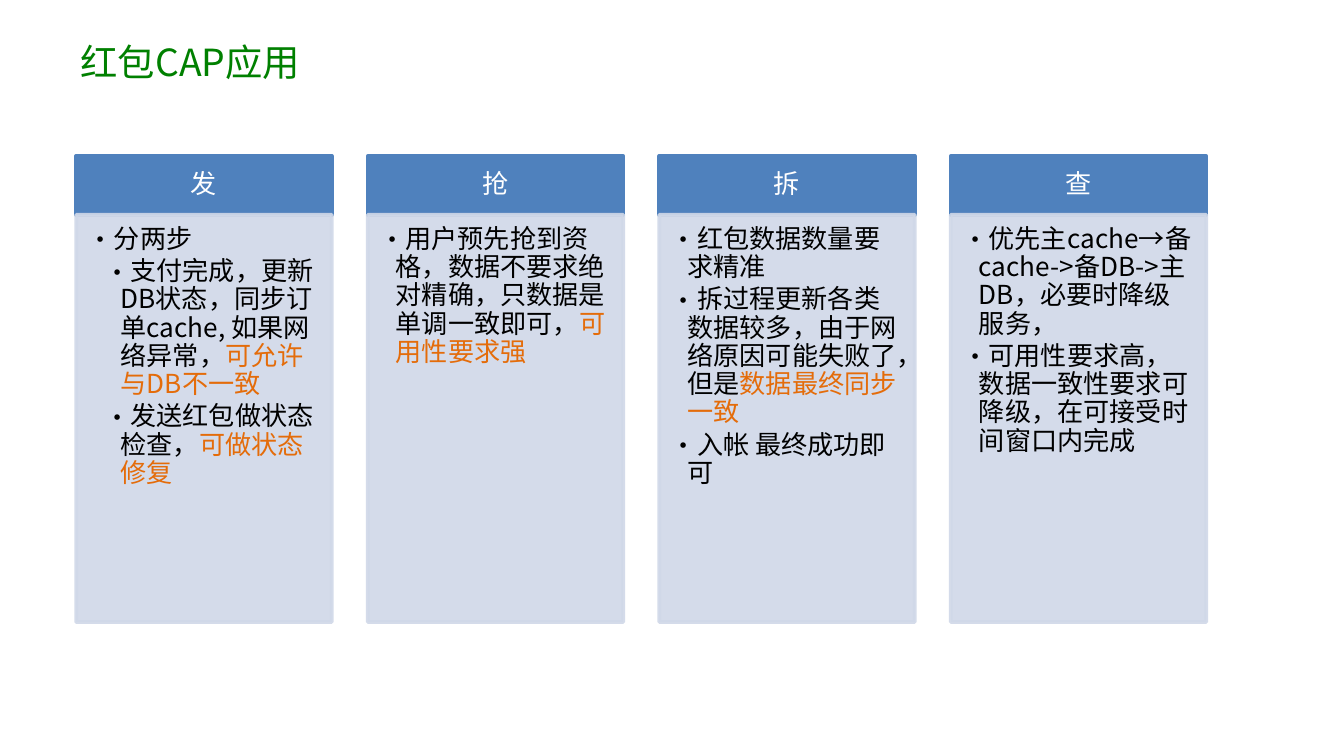
from dataclasses import dataclass

from lxml import etree
from pptx import Presentation
from pptx.dml import color
from pptx.enum import shapes, text
from pptx.oxml import ns
from pptx.util import Cm, Pt


@dataclass(frozen=True)
class Theme:
    font: str = "Noto Sans CJK SC"
    green: str = "008000"
    blue: str = "4F81BD"
    pale: str = "D0D8E8"
    white: str = "FFFFFF"
    black: str = "000000"
    orange: str = "E46C0A"
    title: float = 20
    body: float = 14
    line: float = 2
    gap: float = 2.1
    alpha: int = 90


@dataclass(frozen=True)
class Item:
    plain: str
    accent: str = ""
    level: int = 1


@dataclass(frozen=True)
class Column:
    head: str
    items: tuple[Item, ...]


@dataclass(frozen=True)
class Box:
    left: float
    top: float
    width: float
    height: float

    def place(self) -> tuple:
        return Cm(self.left), Cm(self.top), Cm(self.width), Cm(self.height)


THEME = Theme()
LEFT, TOP, WIDTH, STEP = 1.44, 2.95, 4.83, 5.51
HEAD, BODY = 1.11, 7.7
HANG = 0.31

COLUMNS = (
    Column("发", (
        Item("分两步"),
        Item("支付完成，更新DB状态，同步订单cache, 如果网络异常，", "可允许与DB不一致", 2),
        Item("发送红包做状态检查，", "可做状态修复", 2),
    )),
    Column("抢", (
        Item("用户预先抢到资格，数据不要求绝对精确，只数据是单调一致即可，", "可用性要求强"),
    )),
    Column("拆", (
        Item("红包数据数量要求精准"),
        Item("拆过程更新各类数据较多，由于网络原因可能失败了，但是", "数据最终同步一致"),
        Item("入帐 最终成功即可"),
    )),
    Column("查", (
        Item("优先主cache→备cache->备DB->主DB，必要时降级服务，"),
        Item("可用性要求高，数据一致性要求可降级，在可接受时间窗口内完成"),
    )),
)


def add_run(para, words: str, tint: str, size: float) -> None:
    run = para.add_run()
    run.text = words
    run.font.size = Pt(size)
    run.font.color.rgb = color.RGBColor.from_string(tint)
    run.font.name = THEME.font
    east = etree.SubElement(run.font._element, ns.qn("a:ea"))
    east.set("typeface", THEME.font)


def set_frame(frame, pads: tuple[float, ...], anchor) -> None:
    frame.word_wrap = True
    frame.auto_size = text.MSO_AUTO_SIZE.NONE
    frame.vertical_anchor = anchor
    (frame.margin_left, frame.margin_top,
     frame.margin_right, frame.margin_bottom) = map(Cm, pads)


def add_panel(slide, box: Box, tint: str, alpha: int = 100):
    panel = slide.shapes.add_shape(shapes.MSO_SHAPE.RECTANGLE, *box.place())
    panel.shadow.inherit = False
    panel.line.width = Pt(THEME.line)
    for paint in (panel.fill, panel.line.fill):
        paint.solid()
        paint.fore_color.rgb = color.RGBColor.from_string(tint)
    if alpha < 100:
        for node in panel._element.spPr.iter(ns.qn("a:srgbClr")):
            etree.SubElement(node, ns.qn("a:alpha")).set("val", str(alpha * 1000))
    return panel


def add_item(para, item: Item) -> None:
    para.alignment = text.PP_ALIGN.LEFT
    para.level = item.level
    para.line_spacing = 0.9
    para.space_after = Pt(THEME.gap)
    props = para._p.get_or_add_pPr()
    props.set("marL", str(Cm(HANG * item.level)))
    props.set("indent", str(-Cm(HANG)))
    etree.SubElement(props, ns.qn("a:buFont")).set("typeface", THEME.font)
    etree.SubElement(props, ns.qn("a:buChar")).set("char", "•")
    add_run(para, item.plain, THEME.black, THEME.body)
    if item.accent:
        add_run(para, item.accent, THEME.orange, THEME.body)


def add_column(slide, column: Column, left: float) -> None:
    head = add_panel(slide, Box(left, TOP, WIDTH, HEAD), THEME.blue).text_frame
    set_frame(head, (0.28, 0.15, 0.28, 0.15), text.MSO_ANCHOR.MIDDLE)
    para = head.paragraphs[0]
    para.alignment = text.PP_ALIGN.CENTER
    para.line_spacing = 0.9
    add_run(para, column.head, THEME.white, THEME.body)

    box = Box(left, TOP + HEAD, WIDTH, BODY)
    body = add_panel(slide, box, THEME.pale, THEME.alpha).text_frame
    set_frame(body, (0.22, 0.21, 0.28, 0.3), text.MSO_ANCHOR.TOP)
    for order, item in enumerate(column.items):
        add_item(body.add_paragraph() if order else body.paragraphs[0], item)


def add_title(slide, words: str) -> None:
    title = slide.shapes.title
    title.left, title.top, title.width, title.height = Box(1.27, 0.58, 22.86, 1.17).place()
    set_frame(title.text_frame, (0.25, 0.13, 0.25, 0.13), text.MSO_ANCHOR.MIDDLE)
    para = title.text_frame.paragraphs[0]
    para.alignment = text.PP_ALIGN.LEFT
    add_run(para, words, THEME.green, THEME.title)


def main() -> None:
    deck = Presentation()
    deck.slide_width, deck.slide_height = Cm(25.4), Cm(14.29)
    slide = deck.slides.add_slide(deck.slide_layouts[5])
    add_title(slide, "红包CAP应用")
    for order, column in enumerate(COLUMNS):
        add_column(slide, column, LEFT + order * STEP)
    deck.save("out.pptx")


if __name__ == "__main__":
    main()
